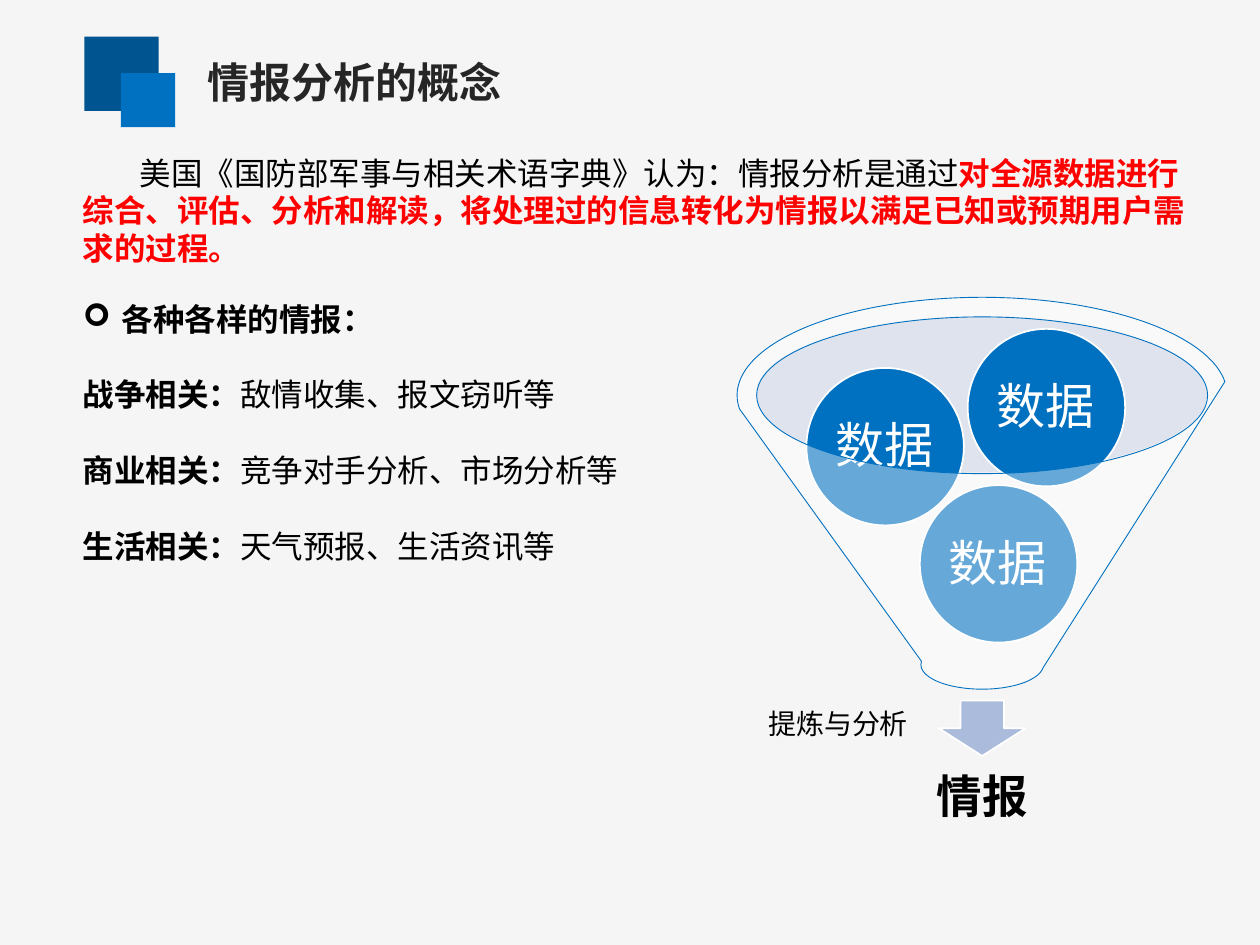
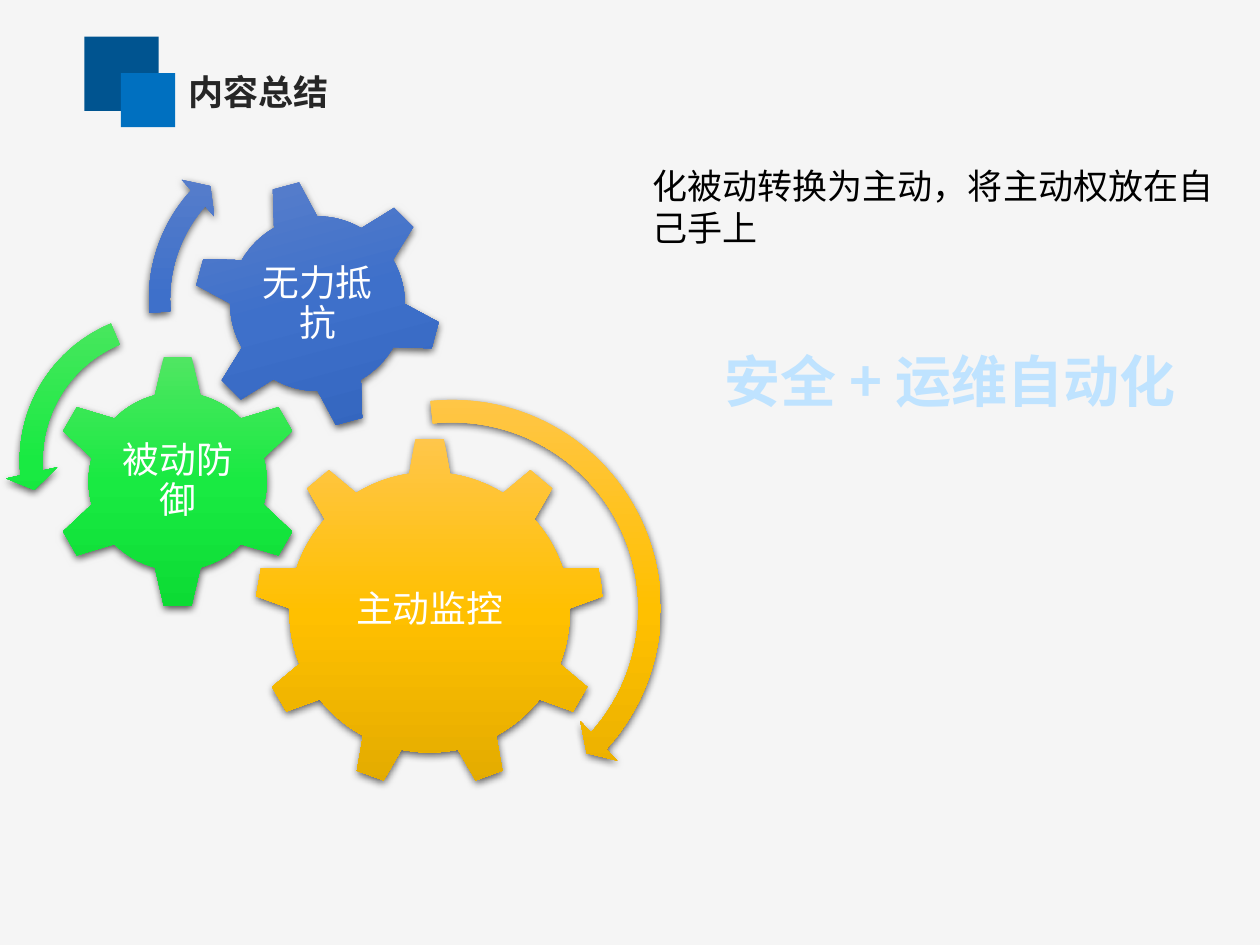
import pptx
import pptx.dml.color
import pptx.enum.shapes
import pptx.enum.text
import pptx.oxml.ns
import pptx.util
from lxml import etree

Inches = pptx.util.Inches
Pt = pptx.util.Pt
RGBColor = pptx.dml.color.RGBColor
SHAPE = pptx.enum.shapes.MSO_SHAPE
qn = pptx.oxml.ns.qn

BACKGROUND = RGBColor(0xF5, 0xF5, 0xF5)
NAVY = RGBColor(0x00, 0x54, 0x90)
BLUE = RGBColor(0x00, 0x70, 0xC0)
TITLE = RGBColor(0x26, 0x26, 0x26)
BLACK = RGBColor(0x00, 0x00, 0x00)
WHITE = RGBColor(0xFF, 0xFF, 0xFF)
RED = RGBColor(0xFF, 0x00, 0x00)
RIM = RGBColor(0xBD, 0xC9, 0xE2)
ARROW = RGBColor(0xAB, 0xBB, 0xDC)
SLOGAN = RGBColor(0xBF, 0xE3, 0xFF)
YELLOW_STOPS = [RGBColor(0xFF, 0xC6, 0x4B), RGBColor(0xFF, 0xC0, 0x00), RGBColor(0xE3, 0xAB, 0x00)]
GREEN_STOPS = [RGBColor(0x51, 0xE6, 0x63), RGBColor(0x19, 0xEA, 0x42), RGBColor(0x0C, 0xDB, 0x34)]
BLUE_STOPS = [RGBColor(0x61, 0x83, 0xCB), RGBColor(0x3E, 0x70, 0xCA), RGBColor(0x30, 0x62, 0xBB)]

CJK_FONT = "Noto Sans CJK SC"
DIAGRAM_FONT = "Calibri"
LINE_HEIGHT = 1.2
TIGHT_LINE_HEIGHT = 1.08


def add_element(parent, tag, **attributes):
    """Append a drawing element with the given attributes."""
    return etree.SubElement(parent, qn(tag), {name: str(value) for name, value in attributes.items()})


def add_run(paragraph, text, size, color=BLACK, bold=False, font=CJK_FONT):
    """Add one formatted run to a paragraph."""
    run = paragraph.add_run()
    run.text = text
    run.font.size = Pt(size)
    run.font.bold = bold
    run.font.color.rgb = color
    run.font.name = font
    add_element(run.font._element, "a:ea", typeface=font)


def add_text_frame(slide, left, top, width, height):
    """Add a wrapping text box and return its frame."""
    box = slide.shapes.add_textbox(Inches(left), Inches(top), Inches(width), Inches(height))
    box.text_frame.word_wrap = True
    return box.text_frame


def add_text(slide, left, top, width, height, text, size, color=BLACK, bold=False):
    """Add a text box holding a single run."""
    paragraph = add_text_frame(slide, left, top, width, height).paragraphs[0]
    paragraph.line_spacing = Pt(size * LINE_HEIGHT)
    add_run(paragraph, text, size, color, bold)
    return paragraph


def add_label(slide, left, top, width, height, text, size, color=WHITE, bold=False, font=CJK_FONT):
    """Add a centred diagram label."""
    frame = add_text_frame(slide, left, top, width, height)
    frame.vertical_anchor = pptx.enum.text.MSO_ANCHOR.MIDDLE
    frame.margin_left = frame.margin_right = Inches(0.03)
    frame.margin_top = frame.margin_bottom = Inches(0.03)
    paragraph = frame.paragraphs[0]
    paragraph.alignment = pptx.enum.text.PP_ALIGN.CENTER
    paragraph.line_spacing = Pt(size * TIGHT_LINE_HEIGHT)
    add_run(paragraph, text, size, color, bold, font)


def add_plain_shape(slide, kind, left, top, width, height, fill, line=None, line_width=1, opacity=None):
    """Add a flat preset shape, optionally outlined or translucent."""
    shape = slide.shapes.add_shape(kind, Inches(left), Inches(top), Inches(width), Inches(height))
    shape.shadow.inherit = False
    shape.fill.solid()
    shape.fill.fore_color.rgb = fill
    if opacity is not None:
        color = shape._element.spPr.find(qn("a:solidFill"))[0]
        add_element(color, "a:alpha", val=opacity * 1000)
    if line is None:
        shape.line.fill.background()
    else:
        shape.line.color.rgb = line
        shape.line.width = Pt(line_width)
    return shape


def add_glossy_shape(slide, kind, left, top, size, stops):
    """Add a square preset shape with a vertical gradient and a soft shadow."""
    shape = add_plain_shape(slide, kind, left, top, size, size, stops[1])
    shape.fill.gradient()
    shape.fill.gradient_angle = 270
    properties = shape._element.spPr
    stop_list = properties.find(qn("a:gradFill")).find(qn("a:gsLst"))
    for stop in list(stop_list):
        stop_list.remove(stop)
    for position, color in zip((0, 50000, 100000), stops):
        add_element(add_element(stop_list, "a:gs", pos=position), "a:srgbClr", val=color)
    shadow = add_element(properties.find(qn("a:effectLst")), "a:outerShdw", blurRad=Pt(4.5),
                         dist=Pt(1.5), dir=5400000, algn="ctr", rotWithShape=0)
    add_element(add_element(shadow, "a:srgbClr", val=BLACK), "a:alpha", val=63000)
    return shape


def add_slide(presentation, title, left, top, height, size):
    """Add a slide with the shared background, square emblem and title."""
    slide = presentation.slides.add_slide(presentation.slide_layouts[6])
    slide.background.fill.solid()
    slide.background.fill.fore_color.rgb = BACKGROUND
    add_plain_shape(slide, SHAPE.RECTANGLE, 0.67, 0.29, 0.59, 0.59, NAVY)
    add_plain_shape(slide, SHAPE.RECTANGLE, 0.96, 0.58, 0.43, 0.43, BLUE)
    add_text(slide, left, top, 7.78, height, title, size, TITLE, True)
    return slide


def add_definition(slide, left, top):
    """Add the definition with its indented first line and red conclusion."""
    paragraph = add_text(slide, left, top, 8.99, 1.01,
                         "美国《国防部军事与相关术语字典》认为：情报分析是通过", 18)
    paragraph._p.get_or_add_pPr().set("indent", str(Inches(0.45)))
    add_run(paragraph, "对全源数据进行综合、评估、分析和解读，将处理过的信息转化为情报以满足已知或预期用户需求的过程。",
            18, RED, True)


def add_intelligence_kinds(slide, left, top):
    """Add the bulleted heading and the kinds of intelligence."""
    kinds = [
        ("各种各样的情报：", ""),
        ("战争相关：", "敌情收集、报文窃听等"),
        ("商业相关：", "竞争对手分析、市场分析等"),
        ("生活相关：", "天气预报、生活资讯等"),
    ]
    frame = add_text_frame(slide, left, top, 4.67, 2.52)
    for index, (name, examples) in enumerate(kinds):
        paragraph = frame.add_paragraph() if index else frame.paragraphs[0]
        paragraph.line_spacing = Pt(18 * LINE_HEIGHT)
        if index:
            paragraph.space_before = Pt(18 * LINE_HEIGHT)
        else:
            properties = paragraph._p.get_or_add_pPr()
            properties.set("marL", str(Inches(0.31)))
            properties.set("indent", str(Inches(-0.31)))
            add_element(properties, "a:buFont", typeface="Wingdings")
            add_element(properties, "a:buChar", char="➢")
        add_run(paragraph, name, 18, bold=True)
        if examples:
            add_run(paragraph, examples, 18)


def add_data_funnel(slide, left, top):
    """Add the funnel that turns data into intelligence."""
    add_plain_shape(slide, SHAPE.OVAL, left + 0.15, top + 0.15, 3.58, 1.24, RIM, opacity=40)
    add_plain_shape(slide, SHAPE.DOWN_ARROW, left + 1.6, top + 3.2, 0.69, 0.44, ARROW, WHITE)
    add_label(slide, left + 0.28, top + 3.56, 3.33, 0.83, "情报", 26, BLACK, True, DIAGRAM_FONT)
    for x, y in [(1.45, 1.49), (0.55, 0.56), (1.83, 0.25)]:
        add_plain_shape(slide, SHAPE.OVAL, left + x, top + y, 1.25, 1.25, BLUE, WHITE)
        add_label(slide, left + x + 0.18, top + y + 0.19, 0.88, 0.88, "数据", 28, font=DIAGRAM_FONT)
    add_plain_shape(slide, SHAPE.FUNNEL, left, top, 3.89, 3.11, WHITE, BLUE, 0.5, 40)
    add_text(slide, left + 0.15, top + 3.2, 2.04, 0.37, "提炼与分析", 16)


def add_gear(slide, kind, left, top, size, stops, text, label_width, label_height, rise=0.0, rotation=0):
    """Add a gear with a label centred on it, raised by the given length."""
    gear = add_glossy_shape(slide, kind, left, top, size, stops)
    gear.rotation = rotation
    add_label(slide, left + (size - label_width) / 2, top + (size - label_height) / 2 - rise,
              label_width, label_height, text, 21)


def add_turn_arrow(slide, kind, left, top, size, stops, adjustments):
    """Add a curved arrow showing how a gear turns."""
    arrow = add_glossy_shape(slide, kind, left, top, size, stops)
    for index, value in enumerate(adjustments):
        arrow.adjustments[index] = value


def add_gear_train(slide, left, top):
    """Add the three meshing gears and their arrows."""
    add_gear(slide, SHAPE.GEAR_9, left + 1.98, top + 2.49, 2.78, YELLOW_STOPS, "主动监控", 1.66, 1.43, 0.02)
    add_gear(slide, SHAPE.GEAR_6, left + 0.36, top + 1.83, 2.02, GREEN_STOPS, "被动防御", 1.01, 1)
    add_gear(slide, SHAPE.GEAR_6, left + 1.49, top + 0.44, 1.98, BLUE_STOPS, "无力抵抗", 1.11, 1.11, rotation=345)
    add_turn_arrow(slide, SHAPE.CIRCULAR_ARROW, left + 1.77, top + 2.07, 3.56, YELLOW_STOPS,
                   (0.05, 2.99, 25.26, 158.41, 0.06))
    add_turn_arrow(slide, SHAPE.LEFT_CIRCULAR_ARROW, left, top + 1.38, 2.59, GREEN_STOPS,
                   (0.07, 4.3, 104.89, 148.38, 0.08))
    add_turn_arrow(slide, SHAPE.CIRCULAR_ARROW, left + 1.03, top, 2.79, BLUE_STOPS,
                   (0.06, 3.94, 133.14, 105.08, 0.07))


def build_concept_slide(presentation):
    """Build the slide on the concept of intelligence analysis."""
    slide = add_slide(presentation, "情报分析的概念", 1.55, 0.4, 0.5, 24)
    add_definition(slide, 0.56, 1.17)
    add_data_funnel(slide, 5.85, 2.36)
    add_intelligence_kinds(slide, 0.56, 2.33)


def build_summary_slide(presentation):
    """Build the summary slide."""
    slide = add_slide(presentation, "内容总结", 1.4, 0.51, 0.44, 20)
    add_gear_train(slide, 0.04, 0.98)
    add_text(slide, 5.08, 1.26, 4.92, 0.77, "化被动转换为主动，将主动权放在自己手上", 20)
    slogan = add_text(slide, 5.44, 2.7, 4.2, 0.64, "安全 + 运维自动化", 32, SLOGAN, True)
    slogan.alignment = pptx.enum.text.PP_ALIGN.CENTER


def main():
    """Build and save the presentation."""
    presentation = pptx.Presentation()
    presentation.slide_width = Inches(10)
    presentation.slide_height = Inches(7.5)
    build_concept_slide(presentation)
    build_summary_slide(presentation)
    presentation.save("out.pptx")


if __name__ == "__main__":
    main()
